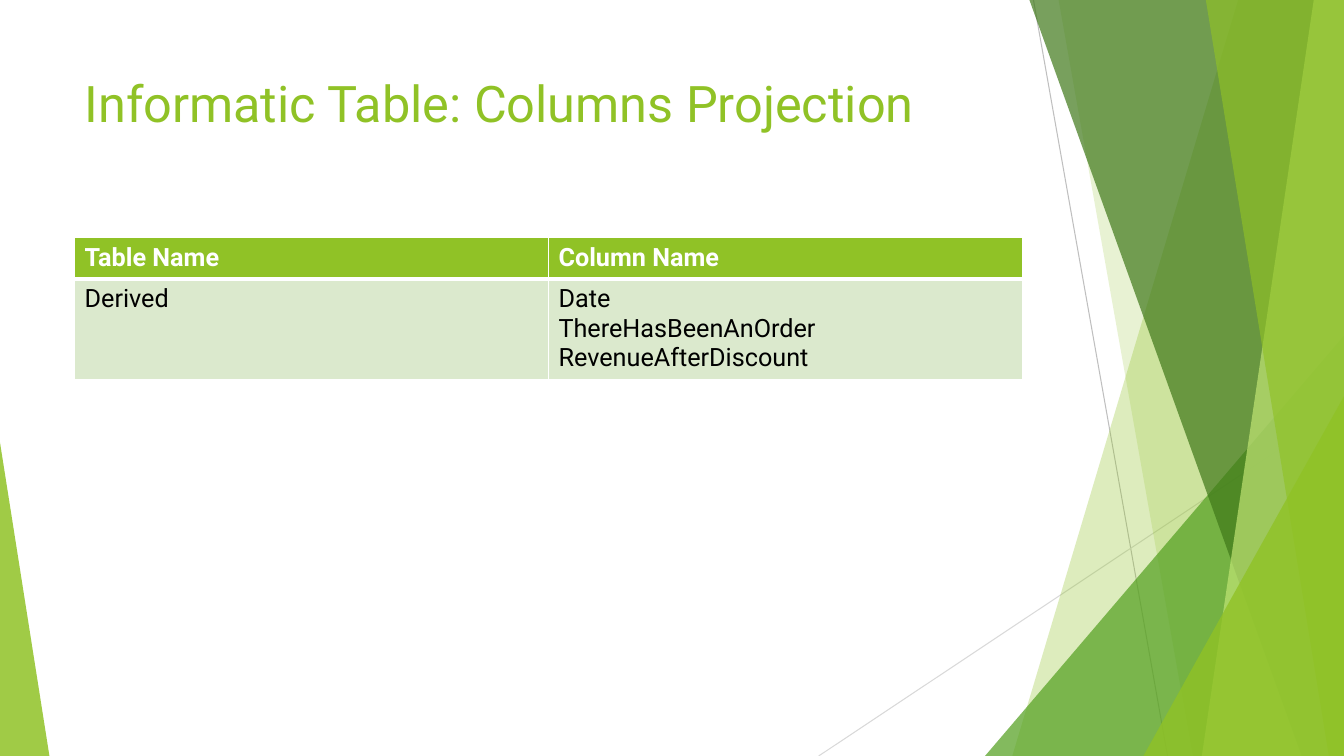
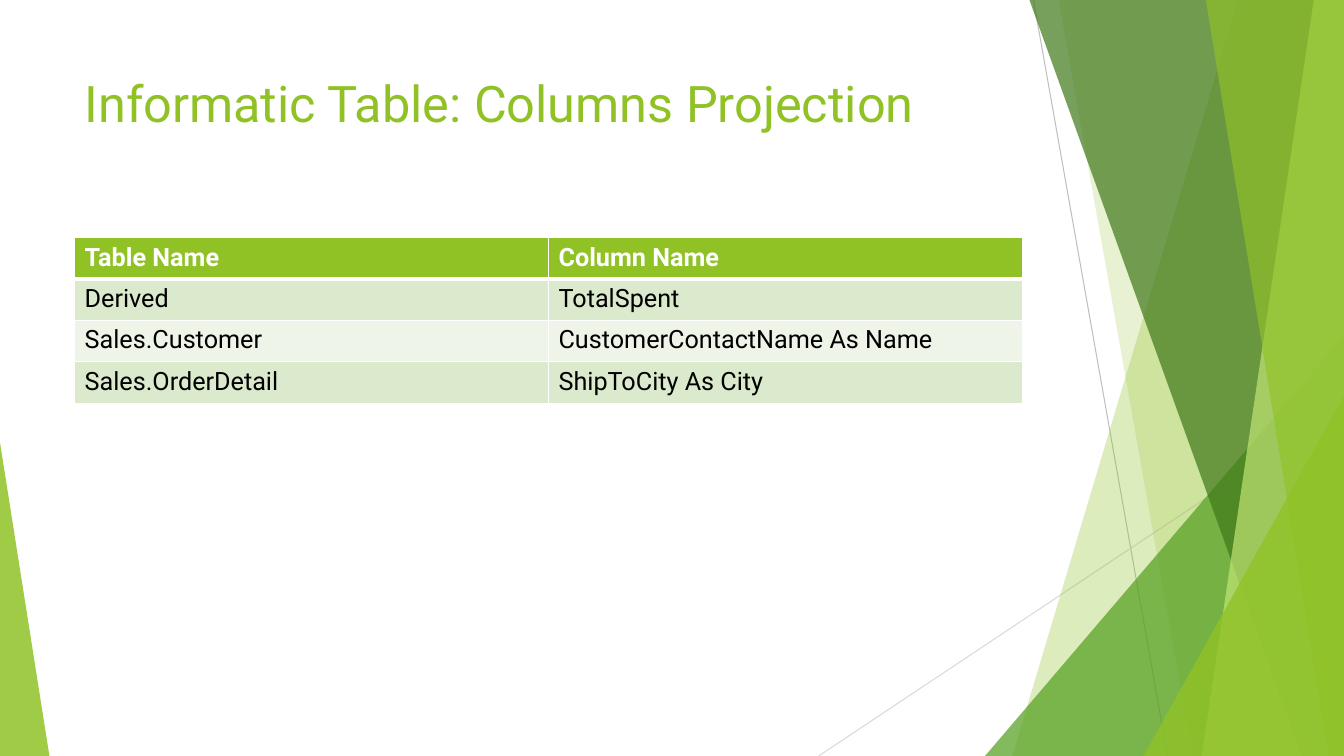
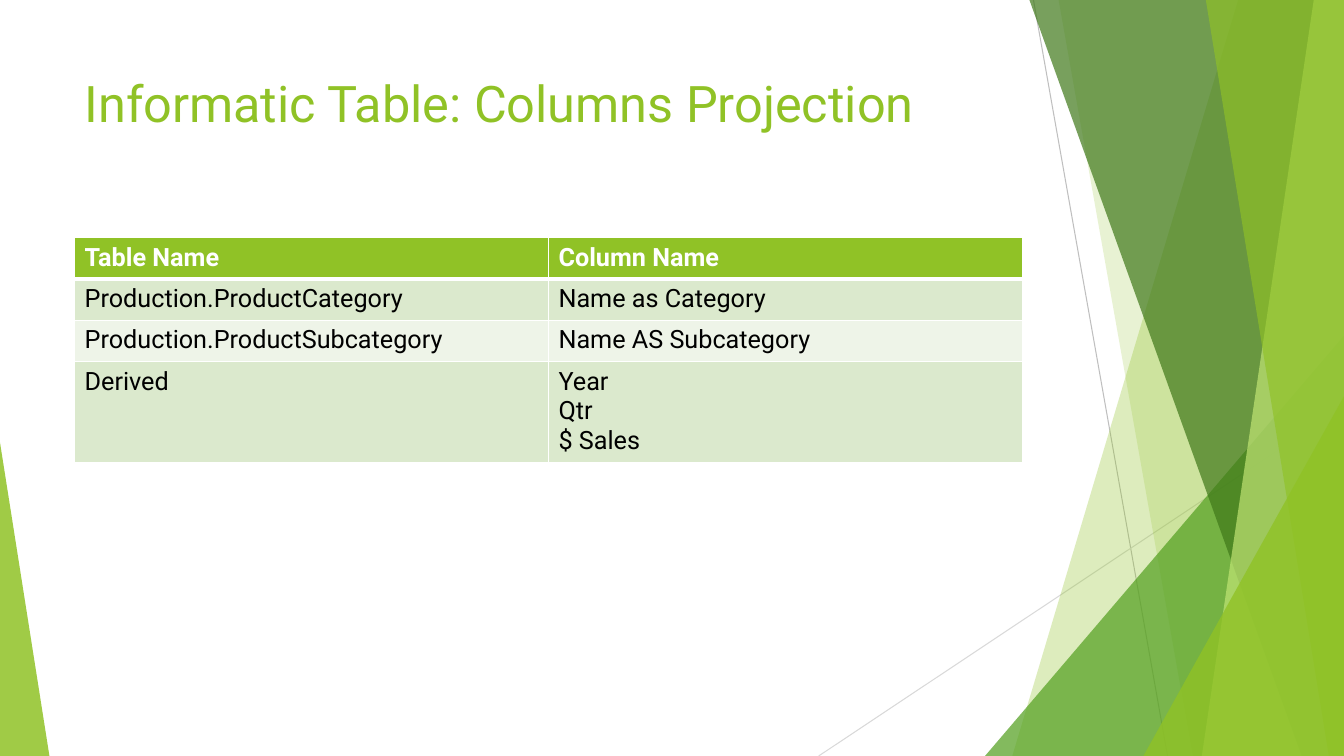
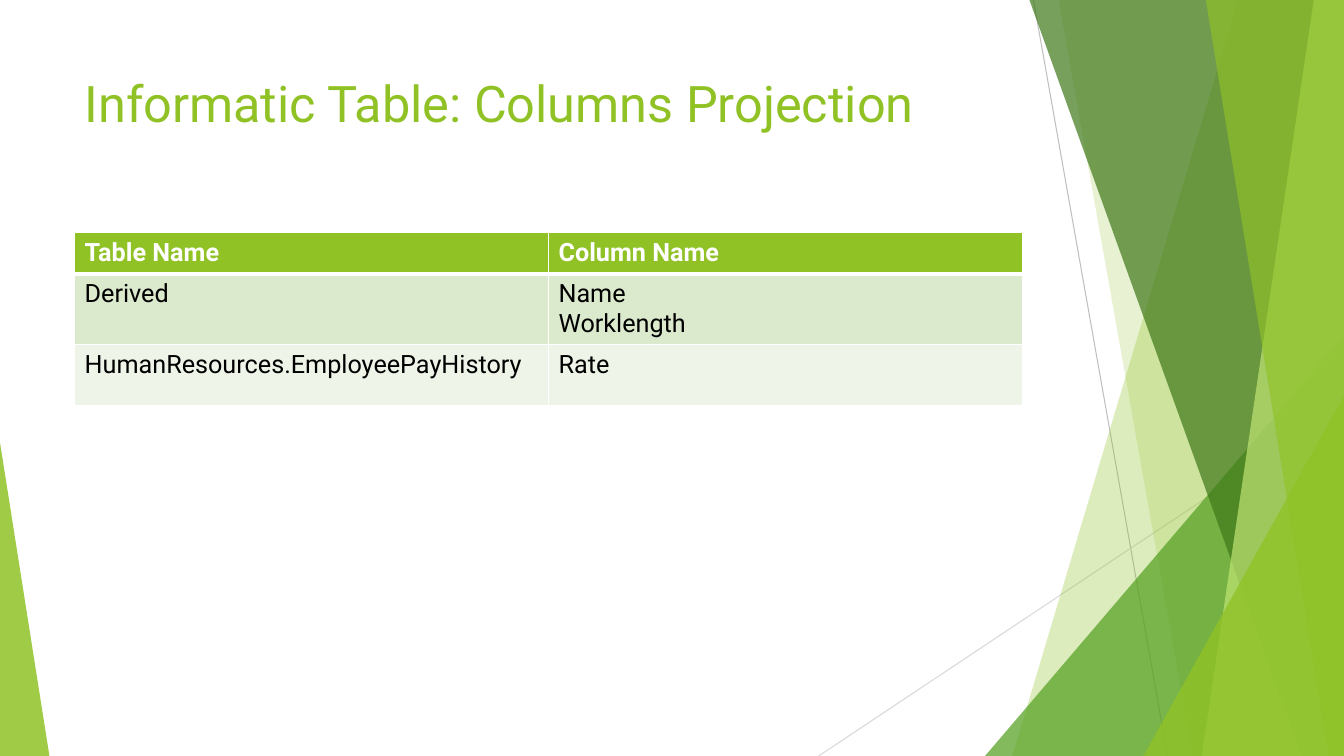
"""Build four slides that list the projected columns of each informatic table."""
from lxml.etree import SubElement
from pptx import Presentation
from pptx.dml.color import RGBColor
from pptx.enum.shapes import MSO_CONNECTOR, MSO_SHAPE
from pptx.oxml.ns import qn
from pptx.util import Inches, Pt

TITLE = "Informatic Table: Columns Projection"
HEAD = ("Table Name", ["Column Name"])
FONT = "Roboto"
COLORS = {
    "lime": "90C226", "green": "54A021", "dark": "3F7819", "pale": "C0E474",
    "gray": "BFBFBF", "mist": "D9D9D9", "white": "FFFFFF", "black": "000000",
    "odd": "DBE9CD", "even": "EEF4E8",
}
WIDE, HIGH = 13.33, 7.5
LEFT, SPAN = 0.74, 9.4
ROW, STEP = 0.41, 0.28

TABLES = [
    {"top": 2.36, "rows": [
        ("Derived", ["Date", "ThereHasBeenAnOrder", "RevenueAfterDiscount"]),
    ]},
    {"top": 2.36, "rows": [
        ("Derived", ["TotalSpent"]),
        ("Sales.Customer", ["CustomerContactName As Name"]),
        ("Sales.OrderDetail", ["ShipToCity As City"]),
    ]},
    {"top": 2.36, "rows": [
        ("Production.ProductCategory", ["Name as Category"]),
        ("Production.ProductSubcategory", ["Name AS Subcategory"]),
        ("Derived", ["Year", "Qtr", "$ Sales"]),
    ]},
    {"top": 2.31, "last": 0.6, "rows": [
        ("Derived", ["Name", "Worklength"]),
        ("HumanResources.EmployeePayHistory", ["Rate"]),
    ]},
]

LINES = [
    ((10.25, 0), (11.58, HIGH), "gray"),
    ((WIDE, 4.03), (8.12, HIGH), "mist"),
]
SHARDS = [
    ("band", (12.28, 10.04), "lime", 30),
    ("band", (10.5, 11.83), "lime", 20),
    ("peak", (9.77, 3.33, 3.56, 1), "green", 72),
    ("band", (10.21, 12.91), "dark", 70),
    ("band", (13.03, 11.92), "pale", 70),
    ("band", (11.96, 13.18), "lime", 65),
    ("peak", (11.34, 3.93, 1.99, 1), "lime", 80),
    ("peak", (0, 4.39, 0.49, 0), "lime", 85),
]


def color(name):
    return RGBColor.from_string(COLORS[name])


def style(frame, size, name, bold=False):
    for para in frame.paragraphs:
        for run in para.runs:
            run.font.name = FONT
            run.font.size = Pt(size)
            run.font.bold = bold
            run.font.color.rgb = color(name)


def add_line(shapes, start, end, name):
    ends = [Inches(value) for value in start + end]
    line = shapes.add_connector(MSO_CONNECTOR.STRAIGHT, *ends)
    line.line.color.rgb = color(name)
    line.line.width = Pt(0.75)
    SubElement(line._element.spPr, qn("a:effectLst"))


def add_band(shapes, head, foot):
    pen = shapes.build_freeform(Inches(head), 0)
    points = [(WIDE, 0), (WIDE, HIGH), (foot, HIGH)]
    pen.add_line_segments([(Inches(x), Inches(y)) for x, y in points])
    return pen.convert_to_shape()


def add_peak(shapes, left, top, width, tip):
    box = [Inches(value) for value in (left, top, width, HIGH - top)]
    peak = shapes.add_shape(MSO_SHAPE.ISOSCELES_TRIANGLE, *box)
    peak.adjustments[0] = tip
    return peak


def add_decor(shapes):
    for line in LINES:
        add_line(shapes, *line)
    makers = {"band": add_band, "peak": add_peak}
    for kind, place, name, alpha in SHARDS:
        shard = makers[kind](shapes, *place)
        shard.shadow.inherit = False
        shard.line.fill.background()
        shard.fill.solid()
        shard.fill.fore_color.rgb = color(name)
        tint = shard._element.spPr.find(".//" + qn("a:srgbClr"))
        SubElement(tint, qn("a:alpha"), val=str(alpha * 1000))


def add_title(shapes):
    box = shapes.add_textbox(Inches(LEFT), Inches(0.67), Inches(SPAN), Inches(1.44))
    box.text_frame.word_wrap = True
    box.text_frame.text = TITLE
    style(box.text_frame, 36, "lime")


def set_edges(cell, widths):
    props = cell._tc.get_or_add_tcPr()
    for side, width in widths.items():
        edge = SubElement(props, qn("a:ln" + side), w=str(Pt(width)))
        fill = SubElement(edge, qn("a:solidFill"))
        SubElement(fill, qn("a:srgbClr"), val=COLORS["white"])


def add_grid(shapes, top, rows, last=ROW):
    rows = [HEAD] + rows
    sizes = [ROW + STEP * (len(names) - 1) for _, names in rows]
    sizes[-1] = max(sizes[-1], last)
    frame = shapes.add_table(len(rows), 2, Inches(LEFT), Inches(top),
                             Inches(SPAN), Inches(sum(sizes)))
    table = frame.table
    for index, (source, names) in enumerate(rows):
        table.rows[index].height = Inches(sizes[index])
        head = index == 0
        back = "lime" if head else "odd" if index % 2 else "even"
        edges = {"L": 1, "R": 1, "T": 3 if index == 1 else 1, "B": 3 if head else 1}
        for col, text in enumerate((source, "\n".join(names))):
            cell = table.cell(index, col)
            cell.text_frame.text = text
            style(cell.text_frame, 18, "white" if head else "black", head)
            set_edges(cell, edges)
            cell.fill.solid()
            cell.fill.fore_color.rgb = color(back)


def main():
    deck = Presentation()
    deck.slide_width, deck.slide_height = Inches(WIDE), Inches(HIGH)
    for table in TABLES:
        shapes = deck.slides.add_slide(deck.slide_layouts[6]).shapes
        add_decor(shapes)
        add_title(shapes)
        add_grid(shapes, **table)
    deck.save("out.pptx")


if __name__ == "__main__":
    main()
